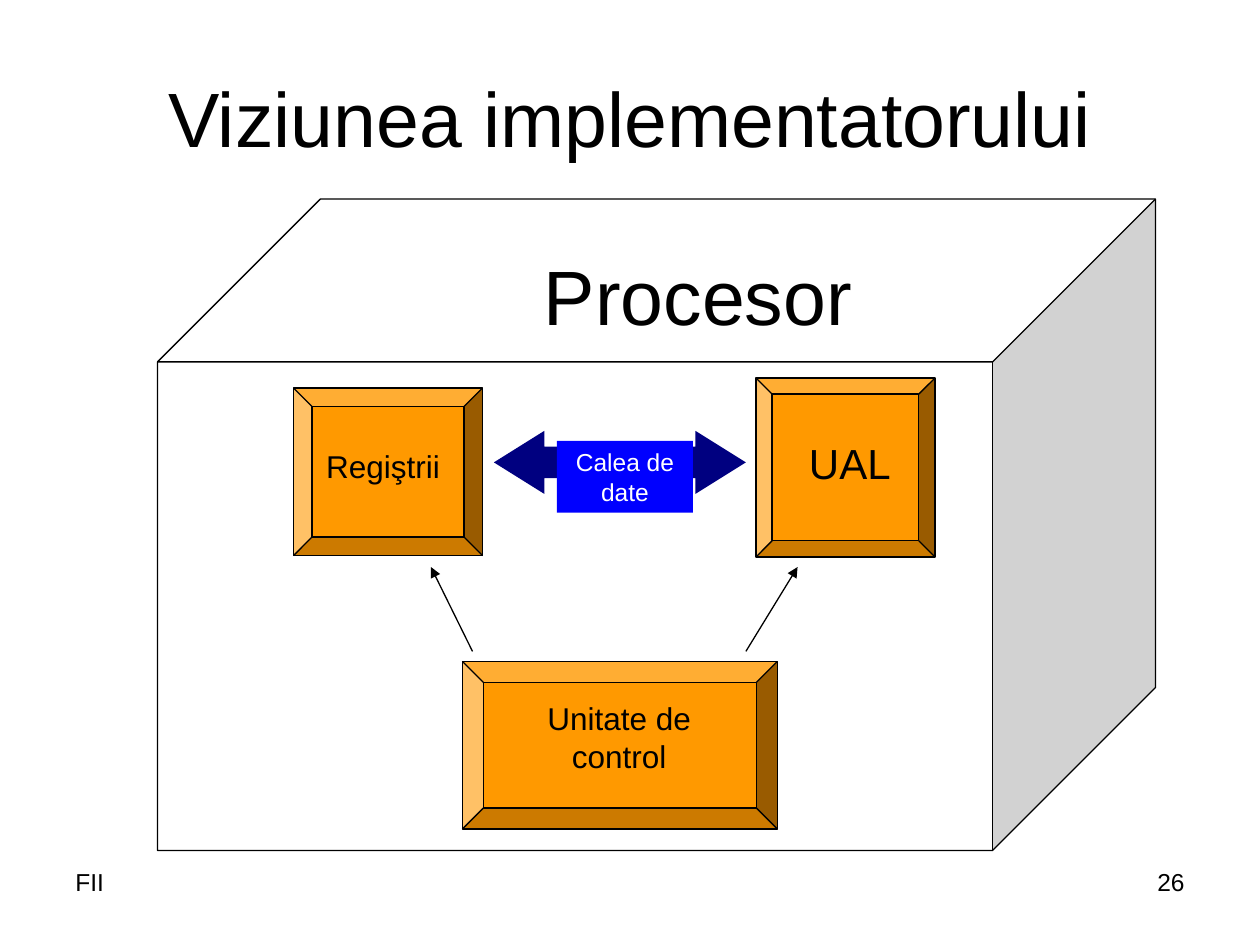
from dataclasses import dataclass
from typing import Optional

from lxml.etree import SubElement
from pptx import Presentation
from pptx.dml.color import RGBColor
from pptx.enum.shapes import MSO_CONNECTOR, MSO_SHAPE
from pptx.enum.text import MSO_ANCHOR, PP_ALIGN
from pptx.oxml.ns import qn
from pptx.util import Inches, Pt


@dataclass(frozen=True)
class Theme:
    font: str = "Arial"
    black: str = "000000"
    white: str = "FFFFFF"
    orange: str = "FF9900"
    navy: str = "000080"
    blue: str = "0000FF"
    heading: int = 44
    large: int = 24
    medium: int = 18
    small: int = 14
    line_width: float = 0.75


THEME = Theme()


@dataclass(frozen=True)
class Box:
    left: float
    top: float
    width: float
    height: float

    def lengths(self) -> tuple:
        """Return the position and size as lengths."""
        return tuple(map(Inches, (self.left, self.top, self.width, self.height)))


@dataclass(frozen=True)
class Block:
    kind: MSO_SHAPE
    box: Box
    fill: str
    adjustments: tuple = ()
    outlined: bool = True
    opacity: Optional[int] = None


@dataclass(frozen=True)
class Label:
    text: str
    box: Box
    size: int
    align: PP_ALIGN = PP_ALIGN.CENTER


@dataclass(frozen=True)
class Arrow:
    start: tuple
    end: tuple


BLOCKS = (
    Block(MSO_SHAPE.CUBE, Box(1.25, 1.58, 7.92, 5.17), THEME.white, (0.25,), opacity=87),
    Block(MSO_SHAPE.LEFT_RIGHT_ARROW, Box(3.92, 3.42, 2, 0.5), THEME.navy, (0.5, 0.8), False),
    Block(MSO_SHAPE.BEVEL, Box(2.33, 3.08, 1.5, 1.33), THEME.orange, (0.11,)),
    Block(MSO_SHAPE.BEVEL, Box(6, 3, 1.42, 1.42), THEME.orange, (0.09,)),
    Block(MSO_SHAPE.BEVEL, Box(3.67, 5.25, 2.5, 1.33), THEME.orange, (0.125,)),
)
DATA_PATH = Block(MSO_SHAPE.RECTANGLE, Box(4.42, 3.5, 1.08, 0.57), THEME.blue, outlined=False)
LABELS = (
    Label("Procesor", Box(3.83, 1.92, 3.42, 0.84), THEME.heading),
    Label("Regiştrii", Box(2.25, 3.5, 1.58, 0.4), THEME.medium),
    Label("UAL", Box(6.08, 3.42, 1.33, 0.5), THEME.large),
    Label("Unitate de control", Box(4, 5.5, 1.83, 0.7), THEME.medium),
    Label("26", Box(7.17, 6.83, 2.33, 0.52), THEME.small, PP_ALIGN.RIGHT),
    Label("FII", Box(0.5, 6.83, 2.33, 0.52), THEME.small, PP_ALIGN.LEFT),
)
ARROWS = (Arrow((5.92, 5.17), (6.33, 4.5)), Arrow((3.75, 5.17), (3.42, 4.5)))


def set_attributes(target, values: dict) -> None:
    """Set each named attribute of the target."""
    for name, value in values.items():
        setattr(target, name, value)


def write_text(shape, text: str, size: int, color: str = THEME.black,
               align: PP_ALIGN = PP_ALIGN.CENTER, anchor: MSO_ANCHOR = MSO_ANCHOR.TOP) -> None:
    """Fill a shape with one formatted paragraph."""
    frame = shape.text_frame
    set_attributes(frame, {
        "text": text, "word_wrap": True, "vertical_anchor": anchor,
        "margin_left": Inches(0.1), "margin_right": Inches(0.1),
        "margin_top": Inches(0.05), "margin_bottom": Inches(0.05),
    })
    paragraph = frame.paragraphs[0]
    set_attributes(paragraph, {"alignment": align, "space_before": Pt(0)})
    font = paragraph.runs[0].font
    set_attributes(font, {"name": THEME.font, "size": Pt(size)})
    font.color.rgb = RGBColor.from_string(color)


def draw_outline(line) -> None:
    """Give a line the theme colour and width."""
    line.color.rgb = RGBColor.from_string(THEME.black)
    line.width = Pt(THEME.line_width)


def draw_block(slide, block: Block):
    """Draw a preset shape and return it."""
    shape = slide.shapes.add_shape(block.kind, *block.box.lengths())
    shape.shadow.inherit = False
    for index, value in enumerate(block.adjustments):
        shape.adjustments[index] = value
    shape.fill.solid()
    shape.fill.fore_color.rgb = RGBColor.from_string(block.fill)
    if block.opacity is not None:
        color = shape.fill._xPr.find(qn("a:solidFill"))[0]
        SubElement(color, qn("a:alpha"), val=str(block.opacity * 1000))
    if block.outlined:
        draw_outline(shape.line)
    else:
        shape.line.fill.background()
    return shape


def draw_label(slide, label: Label) -> None:
    """Draw a text box."""
    shape = slide.shapes.add_textbox(*label.box.lengths())
    write_text(shape, label.text, label.size, align=label.align)


def draw_arrow(slide, arrow: Arrow) -> None:
    """Draw a straight connector with a triangular head at its end."""
    points = map(Inches, (*arrow.start, *arrow.end))
    connector = slide.shapes.add_connector(MSO_CONNECTOR.STRAIGHT, *points)
    draw_outline(connector.line)
    SubElement(connector.line._get_or_add_ln(), qn("a:tailEnd"), type="triangle")
    SubElement(connector._element.spPr, qn("a:effectLst"))


def main() -> None:
    """Build and save the presentation."""
    presentation = Presentation()
    set_attributes(presentation, {"slide_width": Inches(10), "slide_height": Inches(7.5)})
    slide = presentation.slides.add_slide(presentation.slide_layouts[5])
    title = slide.shapes.title
    position = Box(0.5, 0.3, 9, 1.25).lengths()
    set_attributes(title, dict(zip(("left", "top", "width", "height"), position)))
    write_text(title, "Viziunea implementatorului", THEME.heading, anchor=MSO_ANCHOR.MIDDLE)
    for block in BLOCKS:
        draw_block(slide, block)
    for label in LABELS:
        draw_label(slide, label)
    for arrow in ARROWS:
        draw_arrow(slide, arrow)
    write_text(draw_block(slide, DATA_PATH), "Calea de date", THEME.small, THEME.white)
    presentation.save("out.pptx")


if __name__ == "__main__":
    main()
